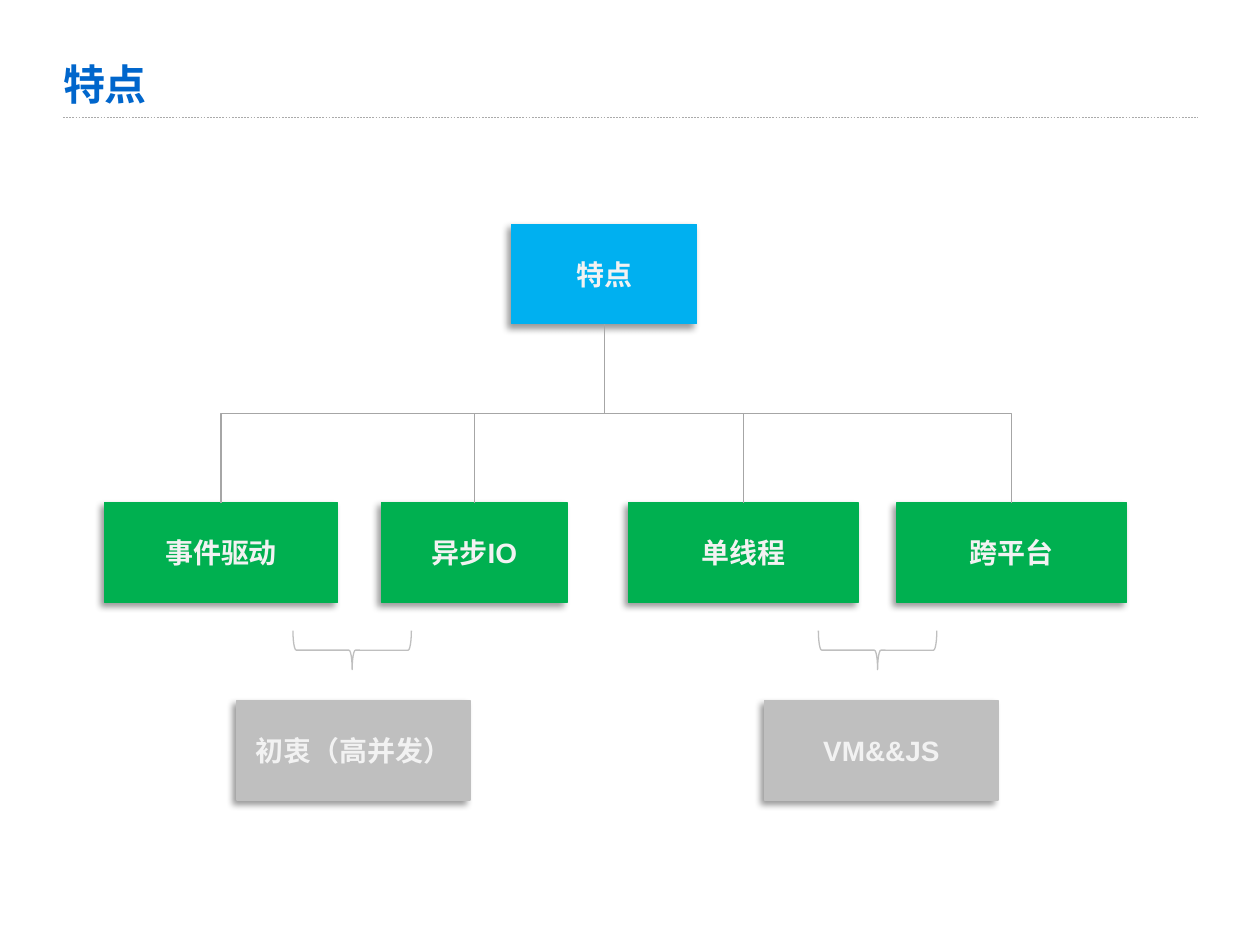
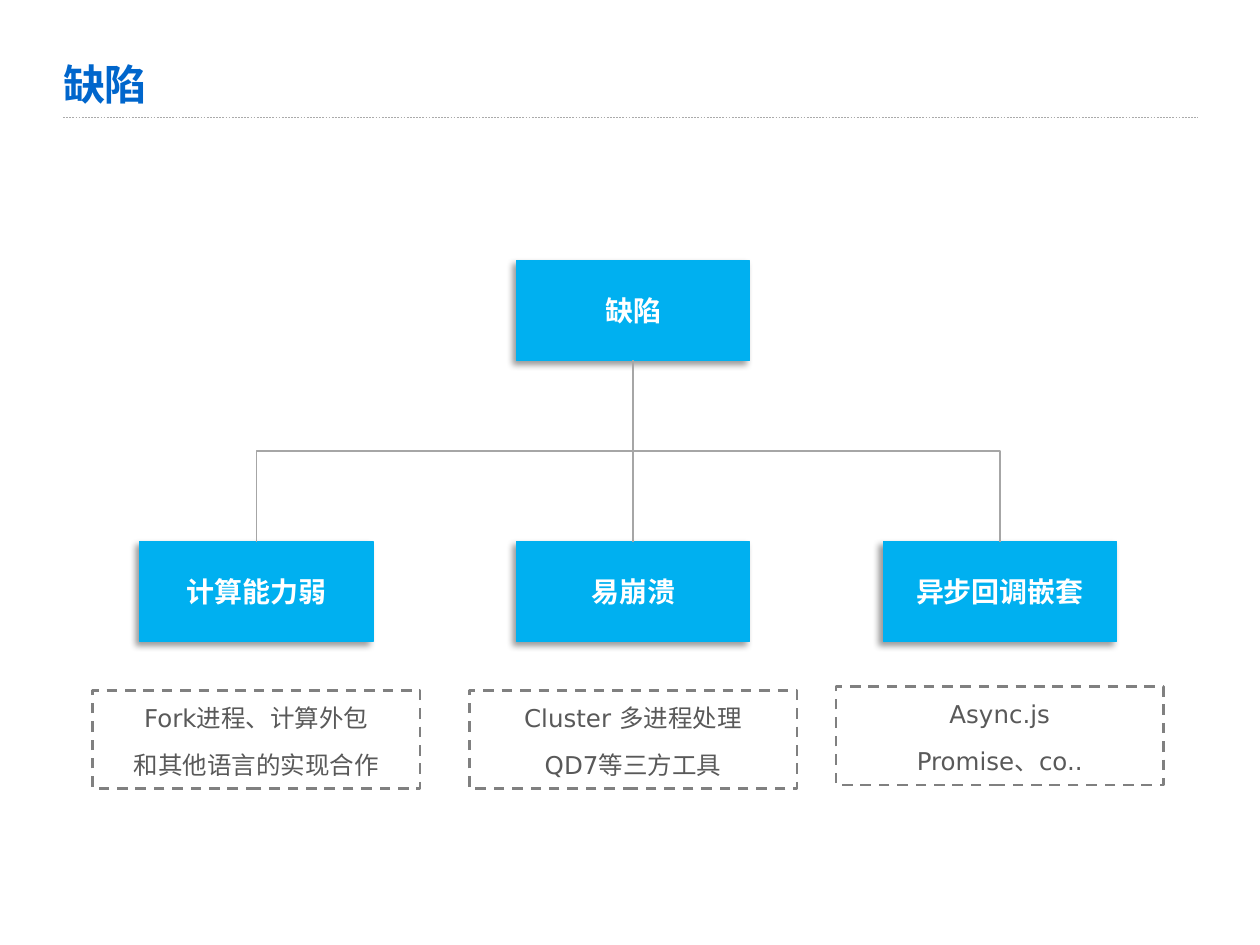
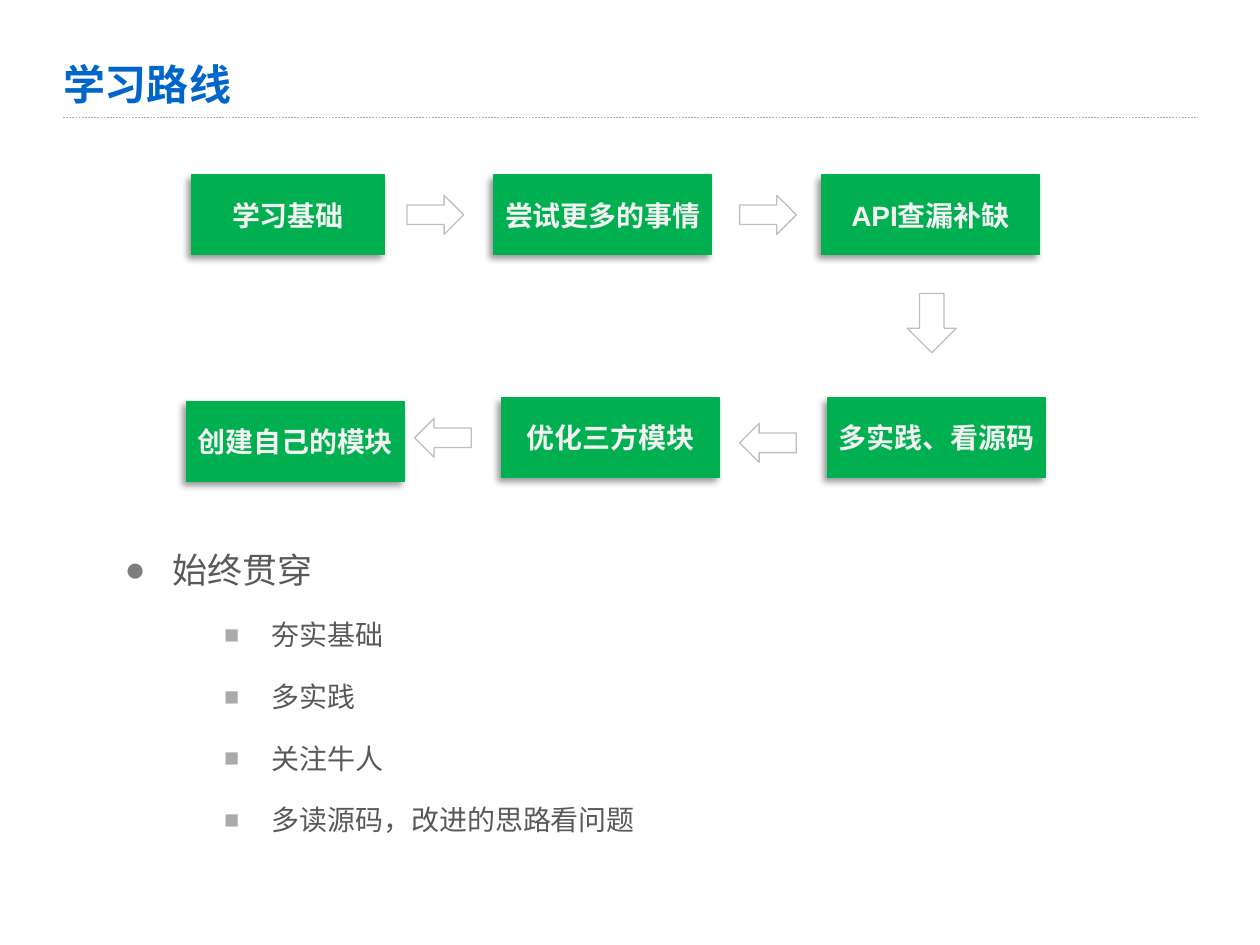
import lxml.etree
import pptx
import pptx.dml.color
import pptx.enum.dml
import pptx.enum.shapes
import pptx.enum.text
import pptx.oxml.ns
import pptx.util

Inches, Pt = pptx.util.Inches, pptx.util.Pt
RGBColor = pptx.dml.color.RGBColor
SHAPE = pptx.enum.shapes.MSO_SHAPE
CONNECTOR = pptx.enum.shapes.MSO_CONNECTOR
ALIGN = pptx.enum.text.PP_ALIGN
ANCHOR = pptx.enum.text.MSO_ANCHOR
DASH = pptx.enum.dml.MSO_LINE.DASH
qn = pptx.oxml.ns.qn

TITLE_BLUE = RGBColor(0x00, 0x66, 0xCC)
SKY = RGBColor(0x00, 0xB0, 0xF0)
GREEN = RGBColor(0x00, 0xB0, 0x50)
SILVER = RGBColor(0xBF, 0xBF, 0xBF)
WHITE = RGBColor(0xFF, 0xFF, 0xFF)
OFF_WHITE = RGBColor(0xF2, 0xF2, 0xF2)
BODY_GRAY = RGBColor(0x59, 0x59, 0x59)
NOTE_GRAY = RGBColor(0x80, 0x80, 0x80)
BRANCH_GRAY = RGBColor(0xA6, 0xA6, 0xA6)
RULE_GRAY = RGBColor(0xAA, 0xAA, 0xAA)
BULLET_GRAY = RGBColor(0x7D, 0x7D, 0x7D)

MARGIN = 0.5
CARD_W, CARD_H = 1.85, 0.79
STEP_W, STEP_H = 1.73, 0.63
NOTE_W, NOTE_H = 2.6, 0.78
ARROW_W, ARROW_H = 0.45, 0.31


def write(paragraph, text, font, size, color, bold=False, before=None):
    """Add one run; before is the space above as a share of the line."""
    run = paragraph.add_run()
    run.text = text
    run.font.name, run.font.size, run.font.bold = font, Pt(size), bold
    run.font.color.rgb = color
    if before:
        paragraph._p.get_or_add_pPr().get_or_add_spcBef().set_spcPct(before)


def add_card(slide, text, left, top, width, height, fill, color=OFF_WHITE):
    """Add a filled box with a soft shadow and a bold centred label."""
    card = slide.shapes.add_shape(
        SHAPE.RECTANGLE, Inches(left), Inches(top), Inches(width), Inches(height))
    card.fill.solid()
    card.fill.fore_color.rgb = fill
    card.line.color.rgb = fill
    card.line.width = Pt(0.75)
    card.shadow.inherit = False
    effects = card._element.spPr.find(qn("a:effectLst"))
    shadow = lxml.etree.SubElement(
        effects, qn("a:outerShdw"), blurRad=str(Pt(4)), dist=str(Pt(3)),
        dir="8100000", algn="tr", rotWithShape="0")
    black = lxml.etree.SubElement(shadow, qn("a:srgbClr"), val="000000")
    lxml.etree.SubElement(black, qn("a:alpha"), val="40000")
    frame = card.text_frame
    frame.word_wrap = False
    frame.vertical_anchor = ANCHOR.MIDDLE
    frame.margin_left = frame.margin_right = Inches(0.09)
    frame.margin_top = frame.margin_bottom = Inches(0.04)
    frame.paragraphs[0].alignment = ALIGN.CENTER
    write(frame.paragraphs[0], text, "Arial", 16, color, True, 0.5)
    return card


deck = pptx.Presentation()
deck.slide_width, deck.slide_height = Inches(10), Inches(7.5)

# Title and dashed rule on every slide
slides = []
for heading in ["特点", "缺陷", "学习路线"]:
    slide = deck.slides.add_slide(deck.slide_layouts[5])
    slides.append(slide)
    rule = slide.shapes.add_connector(
        CONNECTOR.STRAIGHT, Inches(MARGIN), Inches(0.93), Inches(9.51), Inches(0.93))
    rule.line.color.rgb = RULE_GRAY
    rule.line.width = Pt(0.25)
    rule.line.dash_style = DASH
    lxml.etree.SubElement(rule._element.spPr, qn("a:effectLst"))

    title = slide.shapes.title
    title.left, title.top = Inches(MARGIN), Inches(0.4)
    title.width, title.height = Inches(7.77), Inches(0.52)
    frame = title.text_frame
    frame.auto_size = pptx.enum.text.MSO_AUTO_SIZE.NONE
    frame.vertical_anchor = ANCHOR.BOTTOM
    frame.margin_left, frame.margin_right = 0, Inches(0.1)
    frame.margin_top = frame.margin_bottom = Inches(0.05)
    frame.paragraphs[0].alignment = ALIGN.LEFT
    frame.paragraphs[0].line_spacing = 0.9
    write(frame.paragraphs[0], heading, "DejaVu Sans", 24, TITLE_BLUE, True)
features, flaws, roadmap = slides

# Features: root, four traits and the two reasons behind them
feature_root = add_card(features, "特点", 4.06, 1.78, 1.47, CARD_H, SKY)
traits = [add_card(features, text, left, 3.99, width, CARD_H, GREEN)
          for text, left, width in [("事件驱动", 0.83, CARD_W), ("异步IO", 3.03, 1.47),
                                    ("单线程", 4.99, 1.82), ("跨平台", 7.12, 1.82)]]
for text, left in [("初衷（高并发）", 1.88), ("VM&&JS", 6.07)]:
    add_card(features, text, left, 5.56, CARD_W, CARD_H, SILVER)

# Flaws: root, three weak points and a dashed remedy under each
flaw_root = add_card(flaws, "缺陷", 4.1, 2.07, CARD_W, CARD_H, SKY, WHITE)
weak_points = []
for text, left, remedy_top, remedies in [
        ("计算能力弱", 1.11, 5.48, ["Fork进程、计算外包", "和其他语言的实现合作"]),
        ("易崩溃", 4.1, 5.48, ["Cluster 多进程处理", "QD7等三方工具"]),
        ("异步回调嵌套", 7.01, 5.45, ["Async.js", "Promise、co.."])]:
    weak_points.append(add_card(flaws, text, left, 4.3, CARD_W, CARD_H, SKY, WHITE))
    remedy = flaws.shapes.add_shape(
        SHAPE.RECTANGLE, Inches(left + (CARD_W - NOTE_W) / 2), Inches(remedy_top),
        Inches(NOTE_W), Inches(NOTE_H))
    remedy.fill.background()
    remedy.line.color.rgb = NOTE_GRAY
    remedy.line.width = Pt(1.5)
    remedy.line.dash_style = DASH
    remedy.shadow.inherit = False
    frame = remedy.text_frame
    frame.word_wrap = True
    frame.auto_size = pptx.enum.text.MSO_AUTO_SIZE.SHAPE_TO_FIT_TEXT
    frame.vertical_anchor = ANCHOR.TOP
    for number, line in enumerate(remedies):
        paragraph = frame.add_paragraph() if number else frame.paragraphs[0]
        paragraph.alignment = ALIGN.CENTER
        paragraph.line_spacing = 1.2
        write(paragraph, line, "DejaVu Sans", 14, BODY_GRAY, before=0.5)

# Branches of both trees: down, across, down
for slide, root, children in [(features, feature_root, traits),
                              (flaws, flaw_root, weak_points)]:
    start_x, start_y = root.left + root.width // 2, root.top + root.height
    for child in children:
        end_x, end_y = child.left + child.width // 2, child.top
        branch = slide.shapes.add_connector(CONNECTOR.ELBOW, start_x, start_y, end_x, end_y)
        branch.begin_connect(root, 2)
        branch.end_connect(child, 0)
        # A quarter turn makes the elbow leave downwards, so the sides swap
        branch.width, branch.height = end_y - start_y, abs(end_x - start_x)
        branch.left = (start_x + end_x - branch.width) // 2
        branch.top = (start_y + end_y - branch.height) // 2
        xfrm = branch._element.spPr.xfrm
        rightward = end_x > start_x
        xfrm.set("rot", "16200000" if rightward else "5400000")
        xfrm.set("flipH", "1" if rightward else "0")
        branch.line.color.rgb = BRANCH_GRAY
        branch.line.width = Pt(0.75)
        lxml.etree.SubElement(branch._element.spPr, qn("a:effectLst"))

# Roadmap: six steps, running right and then back left
for text, left, top, width in [
        ("学习基础", 1.52, 1.39, 1.53), ("尝试更多的事情", 3.92, 1.39, STEP_W),
        ("API查漏补缺", 6.52, 1.39, STEP_W), ("多实践、看源码", 6.57, 3.16, STEP_W),
        ("优化三方模块", 3.98, 3.16, STEP_W), ("创建自己的模块", 1.48, 3.19, STEP_W)]:
    add_card(roadmap, text, left, top, width, STEP_H, GREEN)

# Thin outlines: braces under the traits, arrows between the steps
for slide, kind, left, top, width, height in [
        (features, SHAPE.RIGHT_BRACE, 2.64, 4.69, 0.31, 0.94),
        (features, SHAPE.RIGHT_BRACE, 6.81, 4.69, 0.31, 0.94),
        (roadmap, SHAPE.RIGHT_ARROW, 3.23, 1.55, ARROW_W, ARROW_H),
        (roadmap, SHAPE.RIGHT_ARROW, 5.87, 1.55, ARROW_W, ARROW_H),
        (roadmap, SHAPE.DOWN_ARROW, 7.2, 2.33, 0.39, 0.47),
        (roadmap, SHAPE.LEFT_ARROW, 5.87, 3.36, ARROW_W, ARROW_H),
        (roadmap, SHAPE.LEFT_ARROW, 3.29, 3.32, ARROW_W, ARROW_H)]:
    outline = slide.shapes.add_shape(
        kind, Inches(left), Inches(top), Inches(width), Inches(height))
    if kind == SHAPE.RIGHT_BRACE:
        outline.rotation = 90
        outline.fill.solid()
        outline.fill.fore_color.rgb = WHITE
    else:
        outline.fill.background()
    outline.line.color.rgb = SILVER
    outline.line.width = Pt(0.75)
    outline.shadow.inherit = False

# Habits to keep along the way
habits = roadmap.shapes.add_textbox(Inches(0.89), Inches(4.3), Inches(7.65), Inches(0.45))
frame = habits.text_frame
frame.word_wrap = True
for number, text in enumerate(
        ["始终贯穿", "夯实基础", "多实践", "关注牛人", "多读源码，改进的思路看问题"]):
    paragraph = frame.add_paragraph() if number else frame.paragraphs[0]
    size, indent, mark, mark_color, mark_size = (
        (16, 1.17, "■", RULE_GRAY, 90) if number else (20, 0.38, "●", BULLET_GRAY, 100))
    paragraph.level = 2 if number else 1
    write(paragraph, text, "Cabin", size, BODY_GRAY, before=1.0)
    properties = paragraph._p.get_or_add_pPr()
    properties.set("marL", str(Inches(indent)))
    properties.set("indent", str(Inches(-0.38)))
    bullet_color = lxml.etree.SubElement(properties, qn("a:buClr"))
    lxml.etree.SubElement(bullet_color, qn("a:srgbClr"), val=str(mark_color))
    lxml.etree.SubElement(properties, qn("a:buSzPct"), val=str(mark_size * 1000))
    lxml.etree.SubElement(properties, qn("a:buFont"), typeface="Arial")
    lxml.etree.SubElement(properties, qn("a:buChar"), char=mark)

deck.save("out.pptx")
